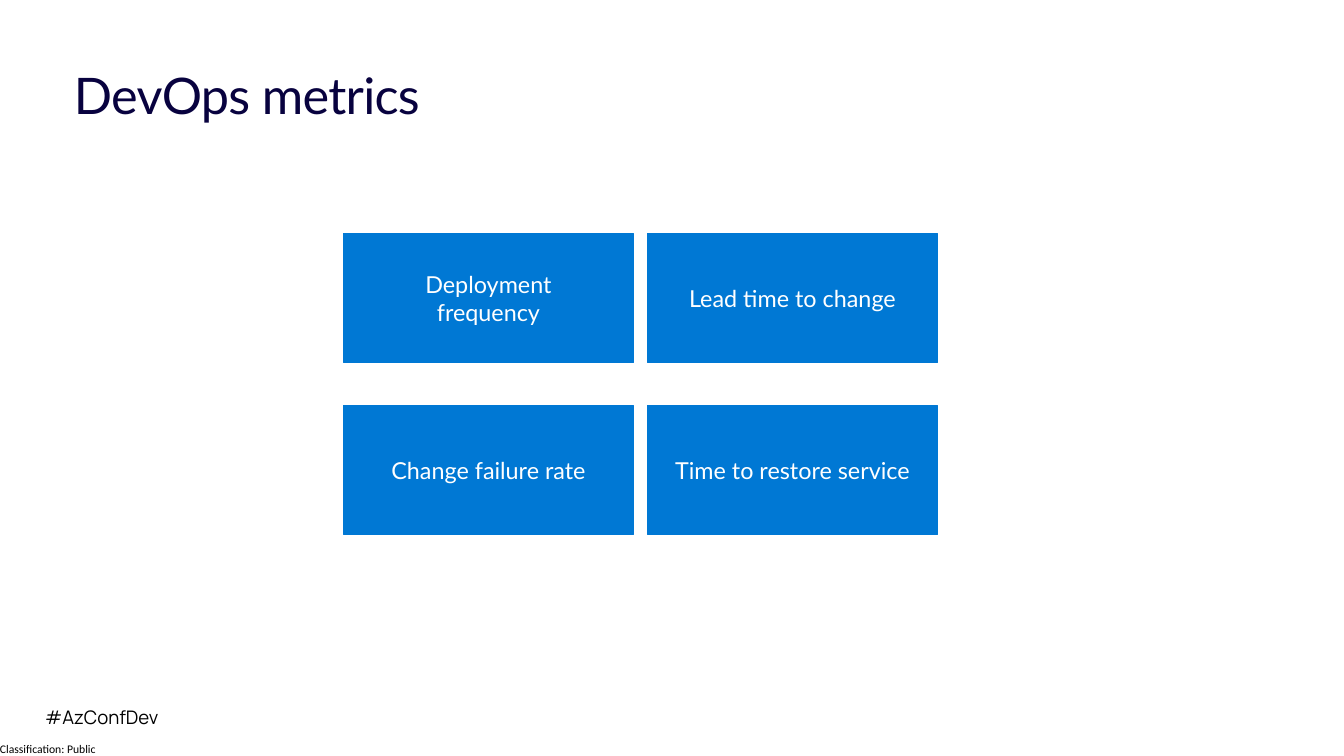
from pptx import Presentation
from pptx.dml.color import RGBColor
from pptx.enum.shapes import MSO_SHAPE
from pptx.enum.text import MSO_ANCHOR, PP_ALIGN
from pptx.util import Pt


def color(value):
    return RGBColor.from_string(value)


def write(tf, text, size=20, font="Lato", ink="000000", align=PP_ALIGN.LEFT,
          anchor=MSO_ANCHOR.TOP, margins=(0, 0), wrap=True,
          line_spacing=None, space_after=None, tracking=None):
    """Fill a text frame, one paragraph per line; margins are (x, y) in points."""
    tf.word_wrap = wrap
    tf.vertical_anchor = anchor
    tf.margin_left = tf.margin_right = Pt(margins[0])
    tf.margin_top = tf.margin_bottom = Pt(margins[1])
    for i, line in enumerate(text.split("\n")):
        p = tf.add_paragraph() if i else tf.paragraphs[0]
        p.alignment = align
        if line_spacing is not None:
            p.line_spacing = line_spacing
        if space_after is not None:
            p.space_after = Pt(space_after)
        r = p.add_run()
        r.text = line
        r.font.size = Pt(size)
        r.font.name = font
        r.font.color.rgb = color(ink)
        if tracking is not None:
            r._r.get_or_add_rPr().set("spc", str(round(tracking * 100)))


class MetricsSlide:
    blue = "0078D4"
    navy = "08023F"
    white = "FFFFFF"

    def __init__(self, prs):
        self.s = prs.slides.add_slide(prs.slide_layouts[5])
        self.s.background.fill.solid()
        self.s.background.fill.fore_color.rgb = color(self.white)

    def title(self, text, x, y, w, h):
        sp = self.s.shapes.title
        sp.left, sp.top, sp.width, sp.height = Pt(x), Pt(y), Pt(w), Pt(h)
        write(sp.text_frame, text, size=43.2, ink=self.navy,
              anchor=MSO_ANCHOR.BOTTOM, line_spacing=0.9, space_after=12,
              tracking=-0.6)

    def label(self, text, x, y, w, h, **fmt):
        sp = self.s.shapes.add_textbox(Pt(x), Pt(y), Pt(w), Pt(h))
        write(sp.text_frame, text, **fmt)

    def tile(self, text, x, y, w, h):
        sp = self.s.shapes.add_shape(MSO_SHAPE.RECTANGLE, Pt(x), Pt(y), Pt(w), Pt(h))
        sp.shadow.inherit = False
        sp.fill.solid()
        sp.fill.fore_color.rgb = color(self.blue)
        sp.line.color.rgb = color(self.blue)
        sp.line.width = Pt(0.85)
        write(sp.text_frame, text, ink=self.white, align=PP_ALIGN.CENTER,
              anchor=MSO_ANCHOR.MIDDLE, margins=(18.72, 18.72))


def main():
    prs = Presentation()
    prs.slide_width, prs.slide_height = Pt(1152), Pt(648)
    slide = MetricsSlide(prs)

    # Footer
    slide.label("Classification: Public", 0, 635.76, 84.24, 12.24,
                size=10, font="Calibri", wrap=False)
    slide.label("#AzConfDev", 31.68, 601.2, 156.96, 26.64,
                size=16, font="Manrope", margins=(7.2, 3.6))

    # Title
    slide.title("DevOps metrics", 63.36, 12.96, 370.08, 94.32)

    # Two by two grid of metrics
    metrics = [["Deployment\nfrequency", "Lead time to change"],
               ["Change failure rate", "Time to restore service"]]
    for row, names in enumerate(metrics):
        for col, name in enumerate(names):
            slide.tile(name, 294.48 + col * 260.64, 200.16 + row * 147.3,
                       248.4, 110.88)

    prs.save("out.pptx")


if __name__ == "__main__":
    main()
